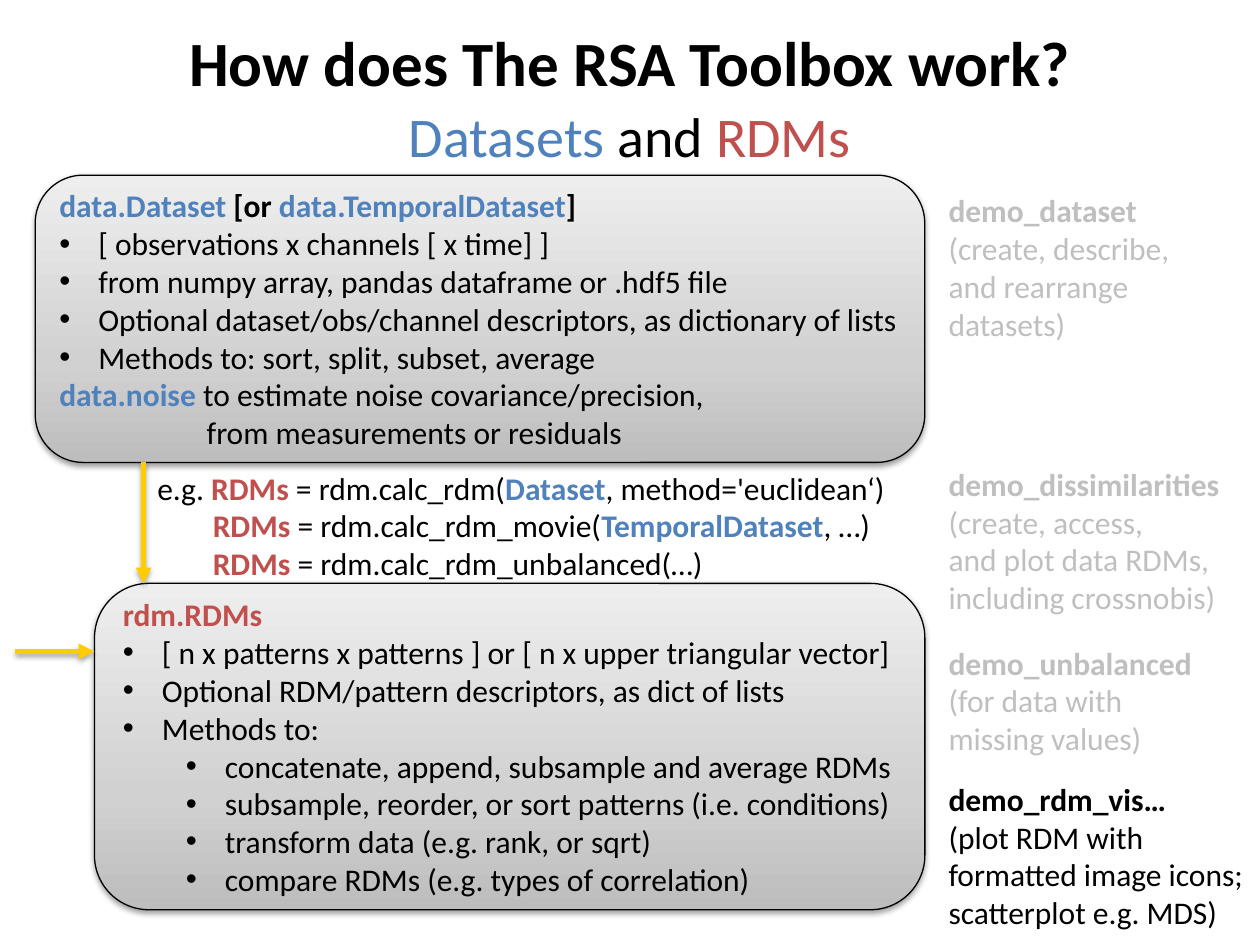
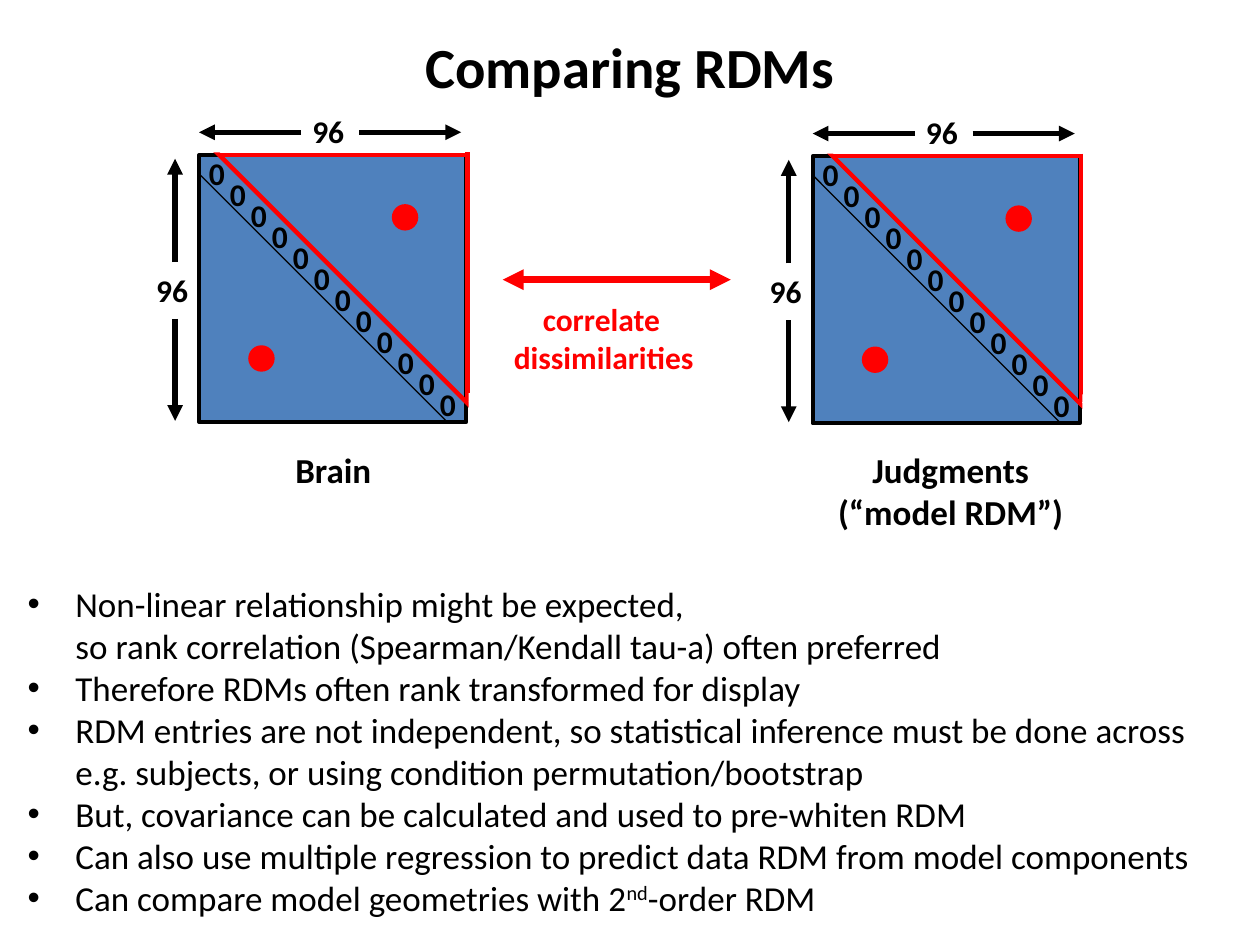
import copy
import pptx
import pptx.util
import pptx.dml.color
import pptx.enum.dml
import pptx.enum.shapes
import pptx.enum.text
import pptx.oxml.ns
import lxml.etree

Inch = pptx.util.Inches
Kind = pptx.enum.shapes.MSO_SHAPE
Align = pptx.enum.text.PP_ALIGN
Anchor = pptx.enum.text.MSO_ANCHOR
qn = pptx.oxml.ns.qn

WIDE, HIGH = 10, 7.5
FONT = "Calibri"
HUES = {"blue": "4F81BD", "red": "C0504D", "black": "000000", "gray": "BFBFBF",
        "gold": "FFCC00", "hot": "FF0000", "white": "FFFFFF"}
GRADE = [(0, "BDBDBD"), (0.35, "D1D1D1"), (1, "EEEEEE")]

TOP, SUB = 0.31, 0.81


def blue(text):
    return text, "blue", True


def red(text):
    return text, "red", True


def bold(text, hue="black"):
    return text, hue, True


def row(*runs, left=0):
    return left, False, runs


def dot(*runs, left=TOP):
    return left, True, runs


HEADS = [
    (0.3, 0.38, 36, [row(bold("How does The RSA Toolbox work?"))]),
    (0.83, 0.48, 32, [row(("Datasets", "blue", False), " and ", ("RDMs", "red", False))]),
]
DATA = [
    row(blue("data.Dataset"), bold(" [or "), blue("data.TemporalDataset"), bold("]")),
    dot("[ observations x channels [ x time] ]"),
    dot("from numpy array, pandas dataframe or .hdf5 file"),
    dot("Optional dataset/obs/channel descriptors, as dictionary of lists"),
    dot("Methods to: sort, split, subset, average"),
    row(blue("data.noise"), " to estimate noise covariance/precision,"),
    row("from measurements or residuals", left=1.17),
]
CALLS = [
    row("e.g. ", red("RDMs"), " = rdm.calc_rdm(", blue("Dataset"),
        ", method='euclidean‘)", left=0.56),
    row(red("RDMs "), "= rdm.calc_rdm_movie(", blue("TemporalDataset"), ", …)", left=1),
    row(red("RDMs"), " = rdm.calc_rdm_unbalanced(…)", left=1),
]
RDMS = [
    row(red("rdm.RDMs")),
    dot("[ n x patterns x patterns ] or [ n x upper triangular vector]"),
    dot("Optional RDM/pattern descriptors, as dict of lists"),
    dot("Methods to:"),
    dot("concatenate, append, subsample and average RDMs", left=SUB),
    dot("subsample, reorder, or sort patterns (i.e. conditions)", left=SUB),
    dot("transform data (e.g. rank, or sqrt)", left=SUB),
    dot("compare RDMs (e.g. types of correlation)", left=SUB),
]
DEMOS = [
    (1.47, 2.03, "gray", "demo_dataset", ["(create, describe,", "and rearrange", "datasets)"]),
    (3.64, 2.37, "gray", "demo_dissimilarities",
     ["(create, access,", "and plot data RDMs,", "including crossnobis)"]),
    (5.06, 2.15, "gray", "demo_unbalanced", ["(for data with", "missing values)"]),
    (6.14, 2.57, "black", "demo_rdm_vis…",
     ["(plot RDM with", "formatted image icons;", "scatterplot e.g. MDS)"]),
]
PANELS = [
    (1.58, 1.23, (2.24, 3.51, 0.81, 0.44), ["Brain"]),
    (6.45, 1.24, (6.54, 3.51, 2.01, 0.77), ["Judgments", "(“model RDM”)"]),
]
POINTS = [
    dot("Non-linear relationship might be expected,", "\v",
        "so rank correlation (Spearman/Kendall tau-a) often preferred", left=0.38),
    dot("Therefore RDMs often rank transformed for display", left=0.38),
    dot("RDM entries are not independent, so statistical inference must be done across "
        "e.g. subjects, or using condition permutation/bootstrap", left=0.38),
    dot("But, covariance can be calculated and used to pre-whiten RDM", left=0.38),
    dot("Can also use multiple regression to predict data RDM from model components", left=0.38),
    dot("Can compare model geometries with 2", ("nd", "black", False, "30000"),
        "-order RDM", left=0.38),
]

SIDE, COUNT, STEP = 2.12, 12, 1 / 6
ARROWS = [(0.81, -0.18, 0, -0.18), (1.27, -0.18, 2.08, -0.18),
          (-0.19, 0.85, -0.19, 0.03), (-0.19, 1.3, -0.19, 2.11)]
SIZES = [(0.8, -0.39), (-0.44, 0.87)]
DOTS = [(0.39, 1.51), (1.53, 0.39)]
BAND = [(0.15, 0, 2.12, 1.97), (0, 0.15, 1.97, 2.12)]
EDGES = [(0.16, 0, 2.13, 0), (2.13, -0.02, 2.13, 1.95), (0.11, -0.05, 2.16, 2)]
MASKS = [(2.14, 1.89, 0.08, 0.16), (0.04, -0.1, 0.24, 0.08)]


def tint(code):
    return pptx.dml.color.RGBColor.from_string(code)


def put(tree, tag, **attrs):
    node = lxml.etree.SubElement(tree, qn(tag))
    for key, val in attrs.items():
        node.set(key, str(val))
    return node


def shade(node, dist, alpha):
    cast = put(node, "a:outerShdw", blurRad=39370, dist=int(dist * 12700),
               dir=5400000, rotWithShape=0)
    put(put(cast, "a:srgbClr", val=HUES["black"]), "a:alpha", val=alpha * 1000)


def write(frame, rows, size=18, align=Align.LEFT, wrap=True, anchor=Anchor.TOP):
    frame.word_wrap = wrap
    frame.vertical_anchor = anchor
    for num, (left, mark, runs) in enumerate(rows):
        para = frame.add_paragraph() if num else frame.paragraphs[0]
        para.alignment = align
        para.level = int(left == SUB)
        prop = para._p.get_or_add_pPr()
        prop.set("marL", str(Inch(left)))
        hang = min(left, 0.38 if left == 0.38 else TOP) if mark else 0
        prop.set("indent", str(-Inch(hang)))
        if mark:
            put(prop, "a:buFont", typeface="Arial")
            put(prop, "a:buChar", char="•")
        for item in runs:
            if item == "\v":
                para.add_line_break()
                continue
            text, hue, heavy, *lift = (item, "black", False) if isinstance(item, str) else item
            run = para.add_run()
            run.text = text
            run.font.name, run.font.size = FONT, pptx.util.Pt(size)
            run.font.bold = heavy
            run.font.color.rgb = tint(HUES[hue])
            if lift:
                run._r.get_or_add_rPr().set("baseline", lift[0])


def label(shapes, at, rows, **style):
    box = shapes.add_textbox(*map(Inch, at))
    write(box.text_frame, rows, **style)


def head(slide, top, high, size, rows):
    label(slide.shapes, (0.05 * WIDE, top, 0.9 * WIDE, high), rows,
          size=size, align=Align.CENTER, anchor=Anchor.MIDDLE)


def form(shapes, kind, at, hue, edge=0):
    part = shapes.add_shape(kind, *map(Inch, at))
    part.shadow.inherit = False
    part.fill.solid()
    part.fill.fore_color.rgb = tint(HUES[hue])
    if edge:
        part.line.color.rgb = tint(HUES["black"])
        part.line.width = pptx.util.Pt(edge)
    else:
        part.line.fill.background()
    return part


def card(slide, at, rows, inset):
    part = form(slide.shapes, Kind.ROUNDED_RECTANGLE, at, "gray", 0.75)
    part.fill.gradient()
    part.fill.gradient_angle = 90
    stops = part._element.spPr.find(".//" + qn("a:gsLst"))
    stops.append(copy.deepcopy(stops[-1]))
    for stop, (pos, code) in zip(part.fill.gradient_stops, GRADE):
        stop.position = pos
        stop.color.rgb = tint(code)
    shade(part._element.spPr.find(qn("a:effectLst")), 1.6, 38)
    part.text_frame.margin_left = part.text_frame.margin_right = Inch(inset)
    write(part.text_frame, rows, anchor=Anchor.MIDDLE)


def line(shapes, ends, hue, width, tips=(), glow=False):
    link = shapes.add_connector(pptx.enum.shapes.MSO_CONNECTOR.STRAIGHT, *map(Inch, ends))
    link.line.color.rgb = tint(HUES[hue])
    link.line.width = pptx.util.Pt(width)
    for tip in tips:
        put(link.line._get_or_add_ln(), tip, type="triangle")
    cast = put(link._element.spPr, "a:effectLst")
    if glow:
        shade(cast, 1.8, 35)


def shift(part, x, y):
    return part[0] + x, part[1] + y, *part[2:]


def move(ends, x, y):
    return ends[0] + x, ends[1] + y, ends[2] + x, ends[3] + y


def matrix(slide, x, y):
    shapes = slide.shapes.add_group_shape().shapes
    form(shapes, Kind.RECTANGLE, (x, y, SIDE, SIDE), "blue", 2.25)
    for ends in BAND:
        line(shapes, move(ends, x, y), "black", 0.75)
    for num in range(COUNT):
        gap = num * STEP
        label(shapes, (x - 0.02 + gap, y - 0.06 + gap, 0.34, 0.4), [row(bold("0"))], wrap=False)
    for spot in DOTS:
        form(shapes, Kind.OVAL, shift((*spot, 0.21, 0.21), x, y), "hot")
    for spot in SIZES:
        label(shapes, shift((*spot, 0.48, 0.4), x, y), [row(bold("96"))], wrap=False)
    for ends in ARROWS:
        line(shapes, move(ends, x, y), "black", 3, ["a:tailEnd"])


def corner(slide, x, y):
    shapes = slide.shapes.add_group_shape().shapes
    for ends in EDGES:
        line(shapes, move(ends, x, y), "hot", 2.5)
    for mask in MASKS:
        form(shapes, Kind.RECTANGLE, shift(mask, x, y), "white")


def tools(slide):
    for item in HEADS:
        head(slide, *item)
    card(slide, (0.28, 1.39, 7.06, 2.28), DATA, 0.08)
    label(slide.shapes, (0.59, 3.67, 6.62, 1.01), CALLS)
    card(slide, (0.75, 4.63, 6.59, 2.59), RDMS, 0.1)
    for ends in [(1.14, 3.67, 1.14, 4.63), (0.12, 5.17, 0.75, 5.17)]:
        line(slide.shapes, ends, "gold", 3, ["a:tailEnd"], glow=True)
    for top, wide, hue, name, notes in DEMOS:
        rows = [row(bold(name, hue))] + [row((note, hue, False)) for note in notes]
        label(slide.shapes, (7.43, top, wide, 0.1 + 0.3 * len(rows)), rows, wrap=False)


def compare(slide):
    head(slide, 0.3, 0.45, 32.4, [row(bold("Comparing RDMs"))])
    for x, y, at, names in PANELS:
        matrix(slide, x, y)
        corner(slide, x, y)
        label(slide.shapes, at, [row(bold(name)) for name in names],
              size=20, align=Align.CENTER, wrap=False)
    line(slide.shapes, (3.99, 2.22, 5.8, 2.22), "hot", 4, ["a:headEnd", "a:tailEnd"])
    label(slide.shapes, (3.98, 2.33, 1.87, 0.7),
          [row(bold("correlate", "hot"), left=0.23), row(bold("dissimilarities", "hot"))],
          wrap=False)
    label(slide.shapes, (0.12, 4.57, 9.69, 2.79), POINTS, size=20)


def main():
    deck = pptx.Presentation()
    deck.slide_width, deck.slide_height = Inch(WIDE), Inch(HIGH)
    for draw in (tools, compare):
        draw(deck.slides.add_slide(deck.slide_layouts[6]))
    deck.save("out.pptx")


if __name__ == "__main__":
    main()
